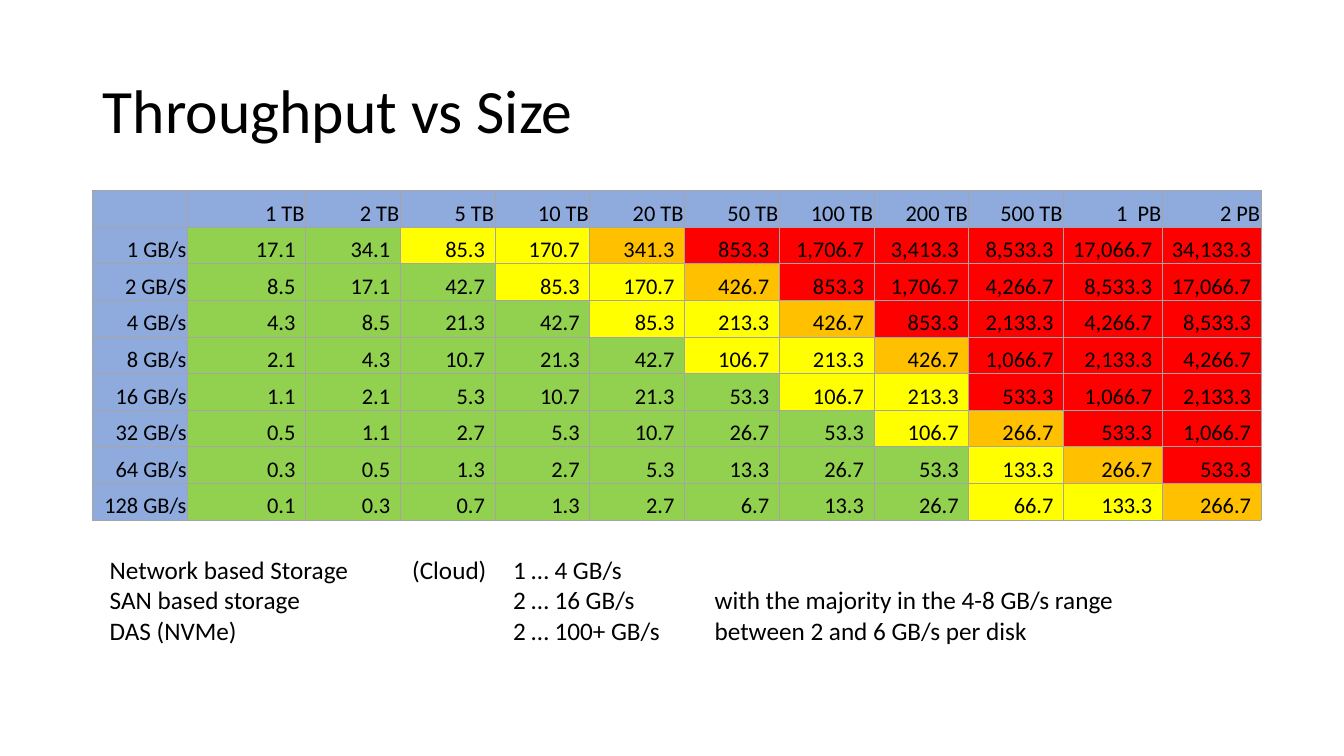
"""Build the slide that shows scan time in minutes by throughput and data size."""
import dataclasses

import lxml.etree
import pptx
import pptx.dml.color
import pptx.enum.text
import pptx.oxml.ns
import pptx.util

Inches = pptx.util.Inches
Pt = pptx.util.Pt
RGB = pptx.dml.color.RGBColor.from_string
ALIGN = pptx.enum.text.PP_ALIGN
ANCHOR = pptx.enum.text.MSO_ANCHOR
qn = pptx.oxml.ns.qn


@dataclasses.dataclass(frozen=True)
class Theme:
    font: str = "Calibri"
    ink: str = "000000"
    header: str = "8FAADC"
    border: str = "A5A5A5"
    fast: str = "92D050"
    fair: str = "FFFF00"
    slow: str = "FFC000"
    stalled: str = "FF0000"
    title_size: int = 44
    note_size: int = 18
    cell_size: int = 16
    border_width: float = 0.5


THEME = Theme()
SIZES = {"1 TB": 1, "2 TB": 2, "5 TB": 5, "10 TB": 10, "20 TB": 20, "50 TB": 50,
         "100 TB": 100, "200 TB": 200, "500 TB": 500, "1  PB": 1000, "2 PB": 2000}
SPEEDS = {"1 GB/s": 1, "2 GB/S": 2, "4 GB/s": 4, "8 GB/s": 8, "16 GB/s": 16,
          "32 GB/s": 32, "64 GB/s": 64, "128 GB/s": 128}
LIMITS = [(60, THEME.fast), (240, THEME.fair), (480, THEME.slow)]
COLUMN_WIDTHS = [0.94, 1.17] + [0.94] * 8 + [0.98] * 2
TABLE_HEIGHT = 3.27
NOTES = ["Network based Storage\t(Cloud)\t1 … 4 GB/s",
         "SAN based storage\t\t2 … 16 GB/s\twith the majority in the 4-8 GB/s range",
         "DAS (NVMe)\t\t2 … 100+ GB/s\tbetween 2 and 6 GB/s per disk"]
NOTE_TABS = [3, 4, 6]


def apply(target, **values):
    for name, value in values.items():
        setattr(target, name, value)


def place(shape, left, top, width, height):
    apply(shape, left=Inches(left), top=Inches(top),
          width=Inches(width), height=Inches(height))


def write(para, text, size):
    span = para.add_run()
    span.text = text
    apply(span.font, name=THEME.font, size=Pt(size))
    span.font.color.rgb = RGB(THEME.ink)


def add_title(page, text):
    title = page.shapes.title
    place(title, 0.92, 0.4, 11.5, 1.45)
    title.text_frame.vertical_anchor = ANCHOR.MIDDLE
    para = title.text_frame.paragraphs[0]
    apply(para, alignment=ALIGN.LEFT, line_spacing=0.9)
    write(para, text, THEME.title_size)


def draw_borders(cell):
    properties = cell._tc.get_or_add_tcPr()
    for side in ("a:lnL", "a:lnR", "a:lnT", "a:lnB"):
        line = lxml.etree.SubElement(properties, qn(side), w=str(Pt(THEME.border_width)))
        fill = lxml.etree.SubElement(line, qn("a:solidFill"))
        lxml.etree.SubElement(fill, qn("a:srgbClr"), val=THEME.border)


def fill_cell(cell, text, color, right_margin=0.01):
    draw_borders(cell)
    cell.fill.solid()
    cell.fill.fore_color.rgb = RGB(color)
    apply(cell, vertical_anchor=ANCHOR.BOTTOM, margin_left=Inches(0.01),
          margin_top=Inches(0.01), margin_right=Inches(right_margin), margin_bottom=0)
    para = cell.text_frame.paragraphs[0]
    para.alignment = ALIGN.RIGHT
    if text:
        write(para, text, THEME.cell_size)


def scan_color(minutes):
    return next((color for limit, color in LIMITS if minutes < limit), THEME.stalled)


def add_scan_table(page):
    frame = page.shapes.add_table(
        len(SPEEDS) + 1, len(COLUMN_WIDTHS), Inches(0.92), Inches(1.89),
        Inches(sum(COLUMN_WIDTHS)), Inches(TABLE_HEIGHT))
    table = frame.table
    apply(table, first_row=False, horz_banding=False)
    for column, width in zip(table.columns, COLUMN_WIDTHS):
        column.width = Inches(width)
    for index, label in enumerate(["", *SIZES]):
        fill_cell(table.cell(0, index), label, THEME.header)
    for row, (label, speed) in enumerate(SPEEDS.items(), 1):
        fill_cell(table.cell(row, 0), label, THEME.header)
        for column, terabytes in enumerate(SIZES.values(), 1):
            minutes = terabytes * 1024 / 60 / speed
            fill_cell(table.cell(row, column), f"{minutes:,.1f}", scan_color(minutes), 0.1)


def add_notes_box(page):
    box = page.shapes.add_textbox(Inches(0.99), Inches(5.45), Inches(11.26), Inches(1.01))
    frame = box.text_frame
    frame.word_wrap = True
    for index, text in enumerate(NOTES):
        para = frame.add_paragraph() if index else frame.paragraphs[0]
        tabs = lxml.etree.SubElement(para._p.get_or_add_pPr(), qn("a:tabLst"))
        for stop in NOTE_TABS:
            lxml.etree.SubElement(tabs, qn("a:tab"), pos=str(Inches(stop)), algn="l")
        write(para, text, THEME.note_size)


def main():
    deck = pptx.Presentation()
    apply(deck, slide_width=Inches(13.33), slide_height=Inches(7.5))
    page = deck.slides.add_slide(deck.slide_layouts.get_by_name("Title Only"))
    add_title(page, "Throughput vs Size")
    add_scan_table(page)
    add_notes_box(page)
    deck.save("out.pptx")


if __name__ == "__main__":
    main()
